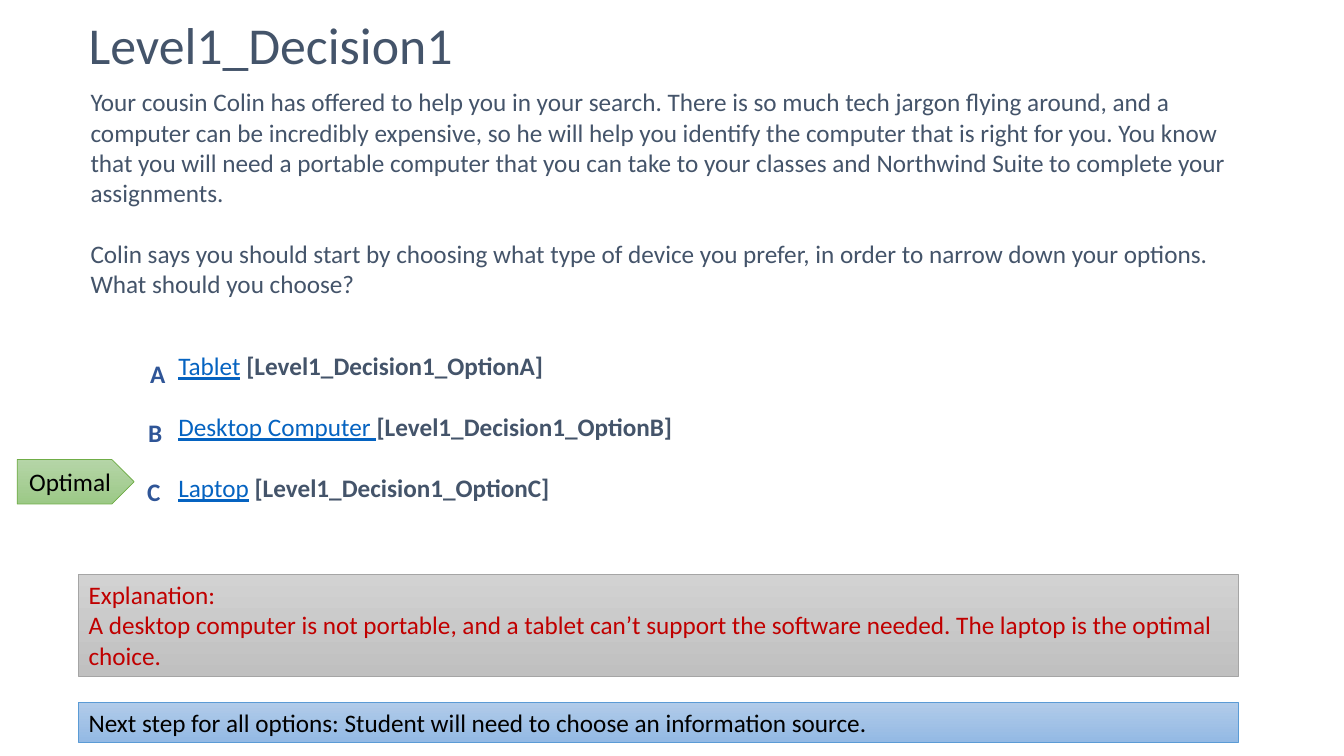
from dataclasses import dataclass

from pptx import Presentation
from pptx.dml.color import RGBColor
from pptx.enum.shapes import MSO_SHAPE
from pptx.enum.text import MSO_ANCHOR, MSO_AUTO_SIZE, PP_ALIGN
from pptx.shapes.base import BaseShape
from pptx.slide import Slide
from pptx.text.text import TextFrame, _Paragraph
from pptx.util import Emu, Inches, Pt

RECTANGLE = MSO_SHAPE.RECTANGLE
PENTAGON = MSO_SHAPE.PENTAGON
TOP = MSO_ANCHOR.TOP
MIDDLE = MSO_ANCHOR.MIDDLE
LEFT = PP_ALIGN.LEFT
CENTER = PP_ALIGN.CENTER
NO_AUTO_SIZE = MSO_AUTO_SIZE.NONE

SLIDE_WIDTH = Inches(13.33)
SLIDE_HEIGHT = Inches(7.5)
FONT = "Calibri"
SLATE = "44546A"
LINK_BLUE = "0563C1"
LETTER_BLUE = "2F5597"
BLACK = "000000"
RED = "C00000"
BLANK_LINE = 22
BAND_LEFT = 5.85
BAND_WIDTH = 86.27
LETTER_TOP = 42.53
LETTER_STEP = 7.8


@dataclass(frozen=True)
class Area:
    """Percentages of the slide's width and height."""

    left: float
    top: float
    width: float
    height: float

    def place(self) -> tuple[Emu, Emu, Emu, Emu]:
        return (
            Emu(round(SLIDE_WIDTH * self.left / 100)),
            Emu(round(SLIDE_HEIGHT * self.top / 100)),
            Emu(round(SLIDE_WIDTH * self.width / 100)),
            Emu(round(SLIDE_HEIGHT * self.height / 100)),
        )


@dataclass(frozen=True)
class Option:
    letter: str
    letter_left: float
    link: str
    gap: str
    label: str


@dataclass(frozen=True)
class Panel:
    area: Area
    preset: MSO_SHAPE
    stops: tuple[str, str]
    outline: str
    lines: tuple[str, ...]
    color: str
    align: PP_ALIGN = LEFT
    anchor: MSO_ANCHOR = TOP


TITLE_AREA = Area(BAND_LEFT, -3.33, BAND_WIDTH, 19.33)
STORY_AREA = Area(6, 10.8, 86.05, 33.6)
OPTIONS_AREA = Area(12.53, 45.73, 79.37, 25.6)

STORY = (
    "Your cousin Colin has offered to help you in your search. There is so much tech "
    "jargon flying around, and a computer can be incredibly expensive, so he will help "
    "you identify the computer that is right for you. You know that you will need a "
    "portable computer that you can take to your classes and Northwind Suite to "
    "complete your assignments.",
    "Colin says you should start by choosing what type of device you prefer, in order "
    "to narrow down your options. What should you choose?",
)

OPTIONS = (
    Option("A", 10.2, "Tablet", " ", "[Level1_Decision1_OptionA]"),
    Option("B", 10.05, "Desktop Computer ", "", "[Level1_Decision1_OptionB]"),
    Option("C", 9.98, "Laptop", " ", "[Level1_Decision1_OptionC]"),
)

PANELS = (
    Panel(Area(1.28, 60.8, 8.7, 5.87), PENTAGON, ("B5D5A7", "9CC987"), "70AD47",
          ("Optimal",), BLACK, CENTER, MIDDLE),
    Panel(Area(BAND_LEFT, 92.93, BAND_WIDTH, 5.33), RECTANGLE, ("B1CBE9", "93B9E4"), "5B9BD5",
          ("Next step for all options: Student will need to choose an information source.",),
          BLACK),
    Panel(Area(BAND_LEFT, 76, BAND_WIDTH, 13.47), RECTANGLE, ("D2D2D2", "C0C0C0"), "A5A5A5",
          ("Explanation:",
           "A desktop computer is not portable, and a tablet can’t support the software "
           "needed. The laptop is the optimal choice."),
          RED),
)


def rgb(color: str) -> RGBColor:
    return RGBColor.from_string(color)


def add_span(para: _Paragraph, text: str, *, color: str, size: float = 18,
             bold: bool = False, underline: bool = False) -> None:
    span = para.add_run()
    span.text = text
    font = span.font
    font.name = FONT
    font.size = Pt(size)
    font.bold = bold
    font.underline = underline
    font.color.rgb = rgb(color)


def next_para(frame: TextFrame, index: int, gap: float = 0) -> _Paragraph:
    if index == 0:
        return frame.paragraphs[0]
    para = frame.add_paragraph()
    para.space_before = Pt(gap)
    return para


def add_text_box(slide: Slide, area: Area) -> TextFrame:
    frame = slide.shapes.add_textbox(*area.place()).text_frame
    frame.word_wrap = True
    return frame


def format_title(title: BaseShape) -> None:
    title.left, title.top, title.width, title.height = TITLE_AREA.place()
    frame = title.text_frame
    frame.auto_size = NO_AUTO_SIZE
    frame.vertical_anchor = MIDDLE
    para = frame.paragraphs[0]
    para.alignment = LEFT
    para.line_spacing = 0.9
    add_span(para, "Level1_Decision1", color=SLATE, size=37)


def add_options(slide: Slide) -> None:
    frame = add_text_box(slide, OPTIONS_AREA)
    for index, option in enumerate(OPTIONS):
        para = next_para(frame, index, BLANK_LINE)
        add_span(para, option.link, color=LINK_BLUE, underline=True)
        add_span(para, option.gap + option.label, color=SLATE, bold=True)


def add_letters(slide: Slide) -> None:
    for index, option in enumerate(OPTIONS):
        area = Area(option.letter_left, LETTER_TOP + index * LETTER_STEP, 5.18, 5.87)
        frame = add_text_box(slide, area)
        frame.margin_left = frame.margin_right = Inches(0.13)
        frame.margin_top = frame.margin_bottom = Inches(0.07)
        para = frame.paragraphs[0]
        para.line_spacing = 2.0
        add_span(para, option.letter, color=LETTER_BLUE, bold=True)


def add_panel(slide: Slide, panel: Panel) -> None:
    box = slide.shapes.add_shape(panel.preset, *panel.area.place())
    box.shadow.inherit = False
    box.fill.gradient()
    box.fill.gradient_angle = 270
    for stop, color in zip(box.fill.gradient_stops, panel.stops):
        stop.color.rgb = rgb(color)
    box.line.color.rgb = rgb(panel.outline)
    box.line.width = Pt(0.5)
    frame = box.text_frame
    frame.word_wrap = True
    frame.vertical_anchor = panel.anchor
    for index, line in enumerate(panel.lines):
        para = next_para(frame, index)
        para.alignment = panel.align
        add_span(para, line, color=panel.color)


def add_story(slide: Slide) -> None:
    frame = add_text_box(slide, STORY_AREA)
    for index, text in enumerate(STORY):
        add_span(next_para(frame, index, BLANK_LINE), text, color=SLATE)


def main() -> None:
    deck = Presentation()
    deck.slide_width = SLIDE_WIDTH
    deck.slide_height = SLIDE_HEIGHT
    page = deck.slides.add_slide(deck.slide_layouts[5])
    format_title(page.shapes.title)
    add_options(page)
    add_letters(page)
    for panel in PANELS:
        add_panel(page, panel)
    add_story(page)
    deck.save("out.pptx")


if __name__ == "__main__":
    main()
